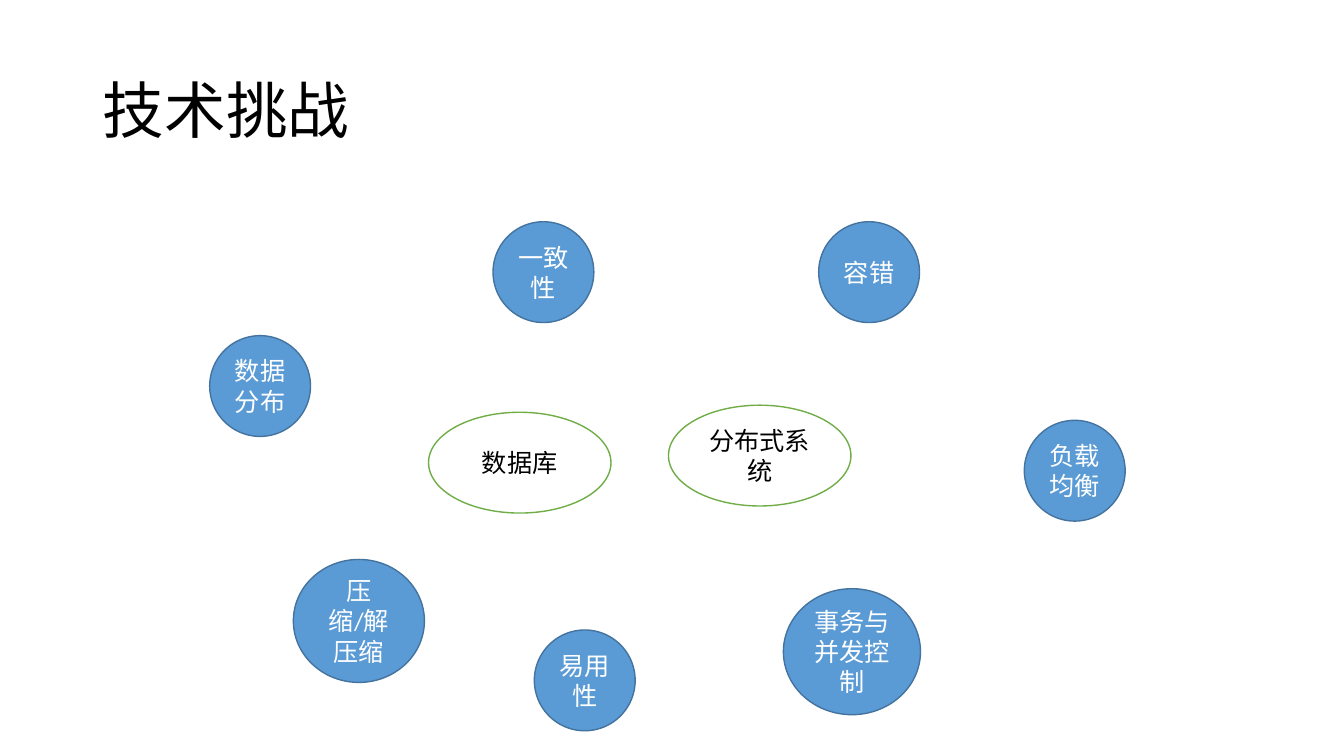
import pptx
import pptx.util
import pptx.dml.color
import pptx.enum.shapes
import pptx.enum.text

Inches = pptx.util.Inches
RGBColor = pptx.dml.color.RGBColor

BLACK = RGBColor(0x00, 0x00, 0x00)
WHITE = RGBColor(0xFF, 0xFF, 0xFF)
BLUE = RGBColor(0x5B, 0x9B, 0xD5)
DARK_BLUE = RGBColor(0x43, 0x73, 0x9E)
GREEN = RGBColor(0x70, 0xAD, 0x47)
FONT = "Calibri"

deck = pptx.Presentation()
deck.slide_width = Inches(13.33)
deck.slide_height = Inches(7.5)
page = deck.slides.add_slide(deck.slide_layouts[5])


def format_text(shape, size, color, alignment):
    shape.text_frame.word_wrap = True
    shape.text_frame.vertical_anchor = pptx.enum.text.MSO_ANCHOR.MIDDLE
    para = shape.text_frame.paragraphs[0]
    para.alignment = alignment
    for span in para.runs:
        span.font.name = FONT
        span.font.size = pptx.util.Pt(size)
        span.font.color.rgb = color


# Title
title = page.shapes.title
title.left, title.top = Inches(0.92), Inches(0.4)
title.width, title.height = Inches(11.5), Inches(1.45)
title.text_frame.text = "技术挑战"
title.text_frame.paragraphs[0].line_spacing = 0.9
format_text(title, 44, BLACK, pptx.enum.text.PP_ALIGN.LEFT)

# Challenges around the two fields: text, left, top, width, height
challenges = [
    ("数据分布", 2.08, 3.33, 1, 1),
    ("一致性", 4.89, 2.2, 1, 1),
    ("容错", 8.12, 2.2, 1, 1),
    ("负载均衡", 10.16, 4.17, 1, 1),
    ("事务与并发控制", 7.77, 5.84, 1.36, 1.25),
    ("易用性", 5.3, 6.25, 1, 1),
    ("压缩/解压缩", 2.91, 5.55, 1.3, 1.22),
]
# Fields in the centre
fields = [
    ("数据库", 4.25, 4.09, 1.81, 1),
    ("分布式系统", 6.63, 4.02, 1.81, 1),
]

# Ellipses, each group in its own colours
groups = [
    (challenges, BLUE, DARK_BLUE, WHITE),
    (fields, WHITE, GREEN, BLACK),
]
for items, fill_color, line_color, text_color in groups:
    for text, left, top, width, height in items:
        ellipse = page.shapes.add_shape(
            pptx.enum.shapes.MSO_SHAPE.OVAL,
            Inches(left), Inches(top), Inches(width), Inches(height))
        ellipse.shadow.inherit = False
        ellipse.fill.solid()
        ellipse.fill.fore_color.rgb = fill_color
        ellipse.line.color.rgb = line_color
        ellipse.line.width = pptx.util.Pt(1)
        ellipse.text_frame.text = text
        format_text(ellipse, 18, text_color, pptx.enum.text.PP_ALIGN.CENTER)

deck.save("out.pptx")
